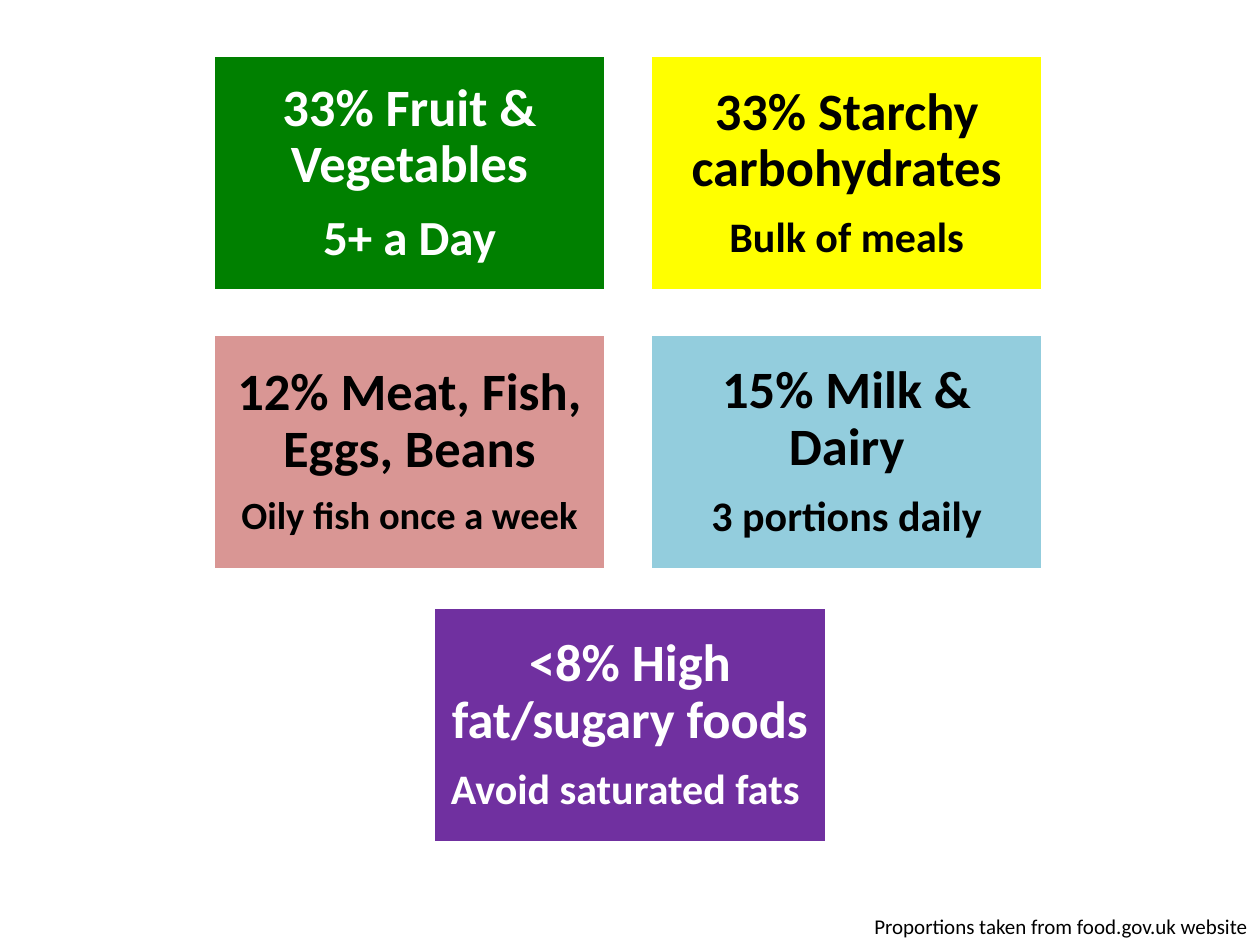
import dataclasses

import pptx
import pptx.dml.color
import pptx.enum.shapes
import pptx.enum.text
import pptx.util

Inches, Pt = pptx.util.Inches, pptx.util.Pt
ALIGN = pptx.enum.text.PP_ALIGN
ANCHOR = pptx.enum.text.MSO_ANCHOR

FONT = "Calibri"
COLORS = {
    "black": "000000",
    "white": "FFFFFF",
    "green": "008000",
    "yellow": "FFFF00",
    "pink": "D99694",
    "blue": "93CDDD",
    "purple": "7030A0",
}

# Grid in inches: left, centre and right columns; three rows
COLUMNS = {"left": 1.69, "centre": 3.44, "right": 5.16}
ROWS = (0.44, 2.65, 4.82)
CARD_W, CARD_H = 3.12, 1.87
INSET = 0.12
HEADING_SIZE = 30


@dataclasses.dataclass
class FoodGroup:
    column: str
    row: int
    fill: str
    color: str
    heading: str
    advice: str
    advice_size: int


GROUPS = [
    FoodGroup("right", 0, "yellow", "black", "33% Starchy carbohydrates", "Bulk of meals", 24),
    FoodGroup("left", 0, "green", "white", "33% Fruit & Vegetables", "5+ a Day", 28),
    FoodGroup("right", 1, "blue", "black", "15% Milk & Dairy", "3 portions daily", 24),
    FoodGroup("left", 1, "pink", "black", "12% Meat, Fish, Eggs, Beans", "Oily fish once a week", 22),
    FoodGroup("centre", 2, "purple", "white", "<8% High fat/sugary foods", "Avoid saturated fats ", 24),
]


def rgb(name: str) -> pptx.dml.color.RGBColor:
    return pptx.dml.color.RGBColor.from_string(COLORS[name])


def write(p, text: str, size: int, color: str, align, bold: bool = False) -> None:
    p.text = text
    p.alignment = align
    for r in p.runs:
        r.font.name = FONT
        r.font.size = Pt(size)
        r.font.bold = bold
        r.font.color.rgb = rgb(color)


def add_card(s, group: FoodGroup) -> None:
    sp = s.shapes.add_shape(
        pptx.enum.shapes.MSO_SHAPE.RECTANGLE,
        Inches(COLUMNS[group.column]), Inches(ROWS[group.row]),
        Inches(CARD_W), Inches(CARD_H))
    sp.shadow.inherit = False
    sp.fill.solid()
    sp.fill.fore_color.rgb = rgb(group.fill)
    sp.line.color.rgb = rgb("white")
    sp.line.width = Pt(2)

    tf = sp.text_frame
    tf.word_wrap = True
    tf.vertical_anchor = ANCHOR.MIDDLE
    tf.margin_left = tf.margin_right = tf.margin_top = tf.margin_bottom = Inches(INSET)
    heading, advice = tf.paragraphs[0], tf.add_paragraph()
    write(heading, group.heading, HEADING_SIZE, group.color, ALIGN.CENTER, True)
    write(advice, group.advice, group.advice_size, group.color, ALIGN.CENTER, True)
    heading.line_spacing = advice.line_spacing = 0.9
    heading.space_after = Pt(0.35 * HEADING_SIZE)


def add_source_note(s, width: float, height: float) -> None:
    w, h = 3.35, 0.3
    sp = s.shapes.add_textbox(Inches(width - w), Inches(height - h), Inches(w), Inches(h))
    tf = sp.text_frame
    tf.word_wrap = True
    # Tight left margin keeps the note on one line
    tf.margin_left = 0
    tf.margin_right = Inches(0.1)
    write(tf.paragraphs[0], "Proportions taken from food.gov.uk website", 12, "black", ALIGN.RIGHT)


def main() -> None:
    width, height = 10, 7.5
    prs = pptx.Presentation()
    prs.slide_width, prs.slide_height = Inches(width), Inches(height)
    s = prs.slides.add_slide(prs.slide_layouts[6])

    # Source of the figures
    add_source_note(s, width, height)

    # Food group cards
    for group in GROUPS:
        add_card(s, group)

    prs.save("out.pptx")


if __name__ == "__main__":
    main()
